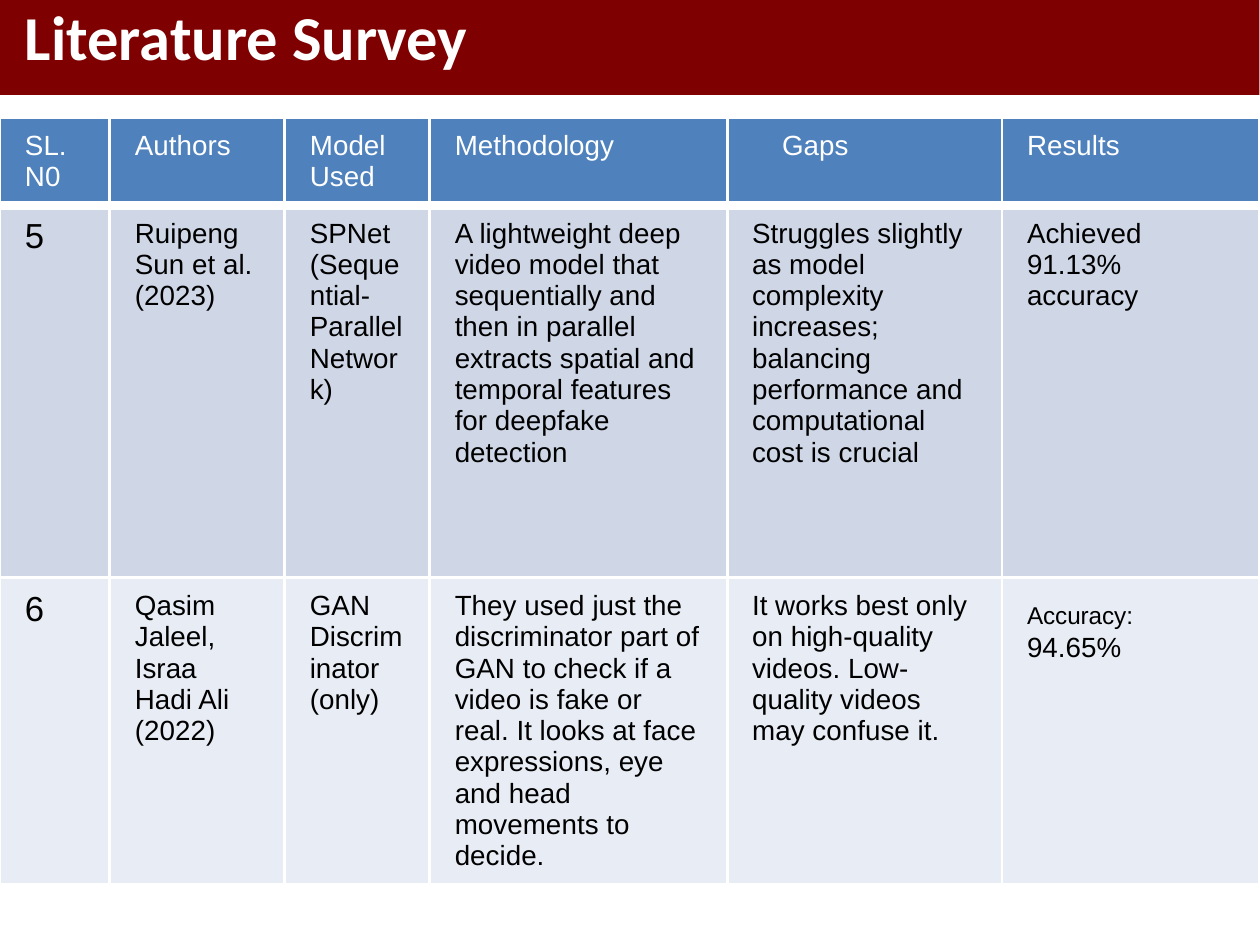
from dataclasses import dataclass

from lxml.etree import SubElement
from pptx import Presentation
from pptx.dml.color import RGBColor
from pptx.enum.shapes import MSO_SHAPE
from pptx.enum.text import MSO_ANCHOR, MSO_AUTO_SIZE, PP_ALIGN
from pptx.oxml.ns import qn
from pptx.util import Inches, Pt


@dataclass(frozen=True)
class Theme:
    bar: str = "7F0000"
    header: str = "4F81BD"
    bands: tuple = ("CFD7E7", "E8ECF4")
    light: str = "FFFFFF"
    dark: str = "000000"
    title_font: str = "Calibri"
    body_font: str = "Arial"
    title_size: int = 18
    number_size: int = 10
    body_size: int = 8
    small_size: int = 7
    gap_size: int = 11


THEME = Theme()

CONTENT_WIDTH = Inches(5.04)
COLUMN_WIDTHS = (0.44, 0.7, 0.58, 1.19, 1.1, 1.03)
ROW_HEIGHTS = (0.27, 1.49, 1.16)
HEADERS = ("SL.\nN0", "Authors", "Model Used", "Methodology", "Gaps", "Results")
GAPS_COLUMN = HEADERS.index("Gaps")

# A cell is a string, or a list of (text, size) runs
STUDIES = (
    (
        [("5", THEME.number_size)],
        "Ruipeng Sun et al.\n(2023)",
        "SPNet (Sequential-Parallel Network)",
        "A lightweight deep video model that sequentially and then in parallel "
        "extracts spatial and temporal features for deepfake detection",
        "Struggles slightly as model complexity increases; balancing "
        "performance and computational cost is crucial",
        "Achieved 91.13% accuracy",
    ),
    (
        [("6", THEME.number_size)],
        "Qasim Jaleel, Israa Hadi Ali\n(2022)",
        "GAN Discriminator (only)",
        "They used just the discriminator part of GAN to check if a video is "
        "fake or real. It looks at face expressions, eye and head movements "
        "to decide.",
        "It works best only on high-quality videos. Low-quality videos may "
        "confuse it.",
        [("Accuracy:", THEME.small_size), (" ", THEME.gap_size),
         ("94.65%", THEME.body_size)],
    ),
)


def write_text(tf, content, *, size=THEME.body_size, color=THEME.dark,
               font=THEME.body_font, bold=False):
    """Fill a text frame; each line of a string becomes a paragraph."""
    if isinstance(content, str):
        paragraphs = [[(line, size)] for line in content.split("\n")]
    else:
        paragraphs = [content]
    for i, runs in enumerate(paragraphs):
        p = tf.add_paragraph() if i else tf.paragraphs[0]
        p.alignment = PP_ALIGN.LEFT
        for text, run_size in runs:
            r = p.add_run()
            r.text = text
            r.font.name = font
            r.font.size = Pt(run_size)
            r.font.bold = bold
            r.font.color.rgb = RGBColor.from_string(color)


def set_borders(cell, bottom=1):
    """Draw the white rules round a cell, widths in points."""
    tcPr = cell._tc.get_or_add_tcPr()
    for side, width in (("L", 1), ("R", 1), ("T", 1), ("B", bottom)):
        ln = SubElement(tcPr, qn(f"a:ln{side}"), w=str(Pt(width)))
        fill = SubElement(ln, qn("a:solidFill"))
        SubElement(fill, qn("a:srgbClr"), val=THEME.light)


def format_cell(cell, content, fill, color=THEME.dark, bottom=1):
    set_borders(cell, bottom)
    cell.fill.solid()
    cell.fill.fore_color.rgb = RGBColor.from_string(fill)
    cell.margin_left = cell.margin_right = Inches(0.1)
    cell.margin_top = cell.margin_bottom = Inches(0.05)
    write_text(cell.text_frame, content, color=color)


def add_title_bar(s):
    bar = s.shapes.add_shape(MSO_SHAPE.RECTANGLE, 0, 0, CONTENT_WIDTH, Inches(0.38))
    bar.shadow.inherit = False
    bar.fill.solid()
    bar.fill.fore_color.rgb = RGBColor.from_string(THEME.bar)
    bar.line.fill.background()
    # Place the bar behind the title
    s.shapes.element.insert(2, bar.element)


def set_title(s, text):
    sp = s.shapes.title
    sp.left, sp.top = Inches(0), Inches(-0.06)
    sp.width, sp.height = Inches(3.44), Inches(0.18)
    tf = sp.text_frame
    tf.word_wrap = True
    tf.auto_size = MSO_AUTO_SIZE.NONE
    tf.vertical_anchor = MSO_ANCHOR.TOP
    tf.margin_left = tf.margin_right = Inches(0.1)
    tf.margin_top = tf.margin_bottom = Inches(0.05)
    write_text(tf, text, size=THEME.title_size, color=THEME.light,
               font=THEME.title_font, bold=True)


def add_survey_table(s):
    frame = s.shapes.add_table(len(ROW_HEIGHTS), len(COLUMN_WIDTHS), 0,
                               Inches(0.47), CONTENT_WIDTH, Inches(3.02))
    table = frame.table
    for column, w in zip(table.columns, COLUMN_WIDTHS):
        column.width = Inches(w)
    for row, h in zip(table.rows, ROW_HEIGHTS):
        row.height = Inches(h)
    # Row changes reset the frame, so its height is set last
    frame.height = Inches(3.02)

    # Header row, with a thick rule below
    for c, heading in enumerate(HEADERS):
        format_cell(table.cell(0, c), heading, THEME.header, THEME.light, bottom=3)
    table.cell(0, GAPS_COLUMN).margin_left = Inches(0.22)

    # One row per study
    for r, (study, band) in enumerate(zip(STUDIES, THEME.bands), start=1):
        for c, content in enumerate(study):
            format_cell(table.cell(r, c), content, band)


def main():
    prs = Presentation()
    # The page is 363 by 272.5 points, about 5.04 by 3.78 inches
    prs.slide_width = Pt(363)
    prs.slide_height = Pt(272.5)
    s = prs.slides.add_slide(prs.slide_layouts[5])
    add_title_bar(s)
    set_title(s, "Literature Survey")
    add_survey_table(s)
    prs.save("out.pptx")


if __name__ == "__main__":
    main()
